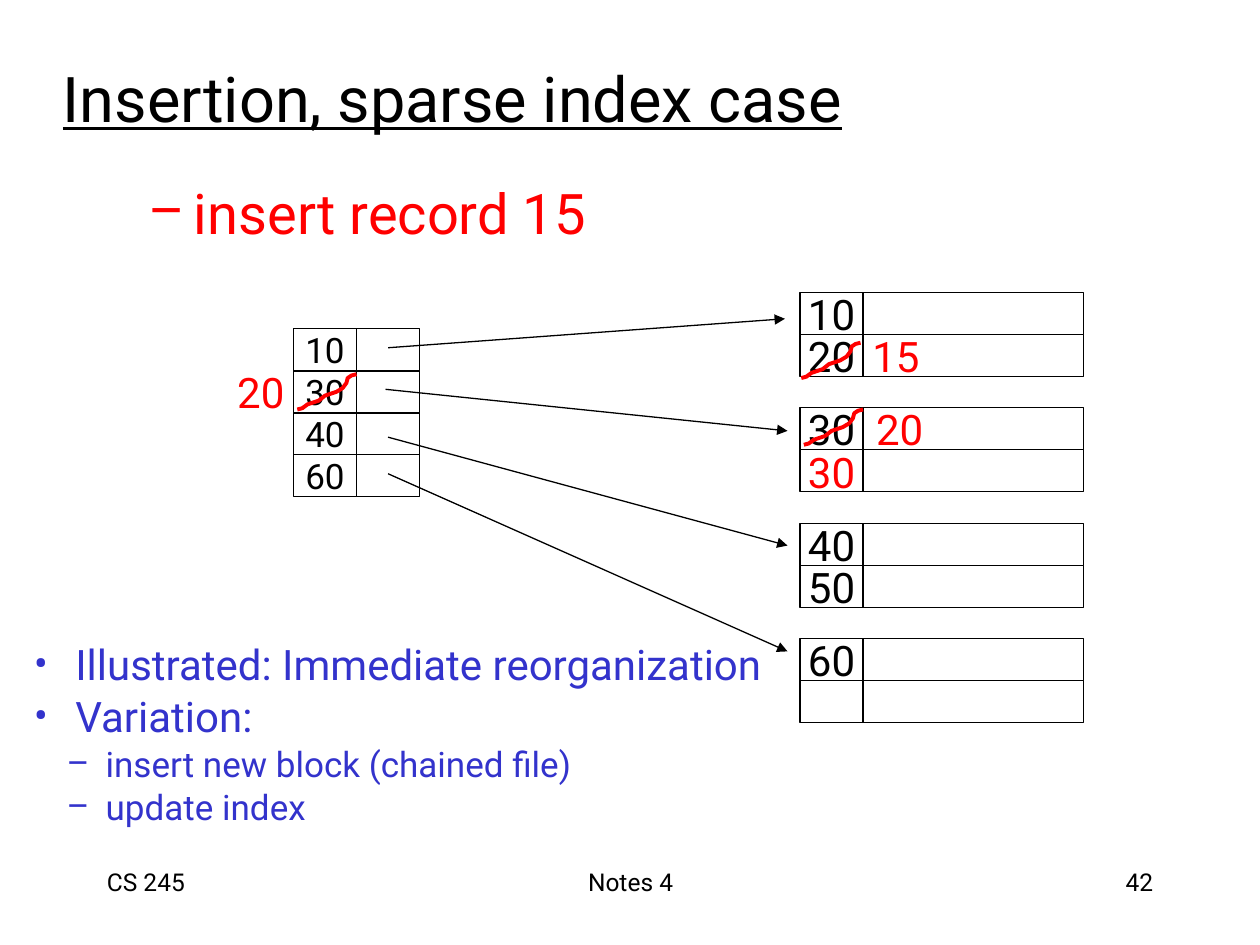
from lxml.etree import SubElement
from pptx import Presentation
from pptx.dml.color import RGBColor
from pptx.enum.shapes import MSO_CONNECTOR, MSO_SHAPE
from pptx.enum.text import MSO_ANCHOR, PP_ALIGN
from pptx.oxml.ns import qn
from pptx.util import Inches, Pt

COLUMN, ROW = 0.5, 1 / 3
BLOCK_GAP = 0.25
BLACK, WHITE, RED, BLUE = "000000", "FFFFFF", "FF0000", "3333CC"
LEFT, CENTER, RIGHT = PP_ALIGN.LEFT, PP_ALIGN.CENTER, PP_ALIGN.RIGHT

# A wavy stroke from bottom left to top right, as offsets in inches
STRIKE_STROKE = [(0, 0.28), (0.04, 0.27), (0.08, 0.24), (0.17, 0.21), (0.22, 0.17),
                 (0.31, 0.14), (0.36, 0.11), (0.39, 0.07), (0.4, 0.03), (0.43, 0.01),
                 (0.47, 0)]


def color(hex_string):
    return RGBColor.from_string(hex_string)


def add_bullet(paragraph, character, margin, hanging):
    properties = paragraph._p.get_or_add_pPr()
    properties.set("marL", str(Inches(margin)))
    properties.set("indent", str(-Inches(hanging)))
    SubElement(properties, qn("a:buFont"), typeface="Roboto")
    SubElement(properties, qn("a:buChar"), char=character)


def write(paragraph, text, size=24, ink=BLACK, align=LEFT, underline=None,
          bullet=None, level=0, spacing=None):
    paragraph.alignment = align
    paragraph.level = level
    if spacing:
        paragraph.line_spacing = spacing
    if bullet:
        add_bullet(paragraph, *bullet)
    run = paragraph.add_run()
    run.text = text
    run.font.name = "Roboto"
    run.font.size = Pt(size)
    run.font.underline = underline
    run.font.color.rgb = color(ink)


def add_text(slide, box, *lines, anchor=MSO_ANCHOR.MIDDLE, wrap=True, **style):
    """Each line is a text, or a pair of a text and its own format."""
    frame = slide.shapes.add_textbox(*map(Inches, box)).text_frame
    frame.word_wrap = wrap
    frame.vertical_anchor = anchor
    for number, line in enumerate(lines):
        text, own_style = (line, {}) if isinstance(line, str) else line
        paragraph = frame.add_paragraph() if number else frame.paragraphs[0]
        write(paragraph, text, **{**style, **own_style})


def add_cell(shapes, box, text, size):
    cell = shapes.add_shape(MSO_SHAPE.RECTANGLE, *map(Inches, box))
    cell.shadow.inherit = False
    cell.fill.solid()
    cell.fill.fore_color.rgb = color(WHITE)
    cell.line.color.rgb = color(BLACK)
    cell.line.width = Pt(0.75)
    if text:
        cell.text_frame.word_wrap = False
        cell.text_frame.vertical_anchor = MSO_ANCHOR.MIDDLE
        write(cell.text_frame.paragraphs[0], text, size=size, align=CENTER)


def add_block(slide, left, top, keys, second_width, size):
    """Stack rows of a key cell and an empty cell beside it."""
    shapes = slide.shapes.add_group_shape().shapes
    for number, key in enumerate(keys):
        y = top + number * ROW
        add_cell(shapes, (left, y, COLUMN, ROW), key, size)
        add_cell(shapes, (left + COLUMN, y, second_width, ROW), "", size)


def add_data_file(slide, left, top):
    blocks = [("10", "20"), ("30", ""), ("40", "50"), ("60", "")]
    for number, keys in enumerate(blocks):
        add_block(slide, left, top + number * (2 * ROW + BLOCK_GAP), keys, 3.5 * COLUMN, 24)


def add_arrow(slide, start, end):
    arrow = slide.shapes.add_connector(MSO_CONNECTOR.STRAIGHT, *map(Inches, start + end))
    arrow.line.color.rgb = color(BLACK)
    arrow.line.width = Pt(0.75)
    SubElement(arrow.line._get_or_add_ln(), qn("a:tailEnd"), type="triangle")
    SubElement(arrow._element.spPr, qn("a:effectLst"))


def add_pointers(slide):
    for start, end in [((3.08, 2.76), (6.23, 2.53)), ((3.06, 3.09), (6.25, 3.42)),
                       ((3.08, 3.47), (6.25, 4.33)), ((3.08, 3.76), (6.25, 5.17))]:
        add_arrow(slide, start, end)


def add_strike(slide, left, top):
    points = [(Inches(left + x), Inches(top + y)) for x, y in STRIKE_STROKE]
    builder = slide.shapes.build_freeform(*points[0])
    builder.add_line_segments(points[1:], close=False)
    stroke = builder.convert_to_shape()
    stroke.shadow.inherit = False
    stroke.fill.background()
    stroke.line.color.rgb = color(RED)
    stroke.line.width = Pt(2.25)


def add_changes(slide):
    for text, left, top in [("15", 6.82, 2.57), ("20", 6.85, 3.15),
                            ("30", 6.31, 3.49), ("20", 1.78, 2.86)]:
        add_text(slide, (left, top, 0.58, 0.5), text, ink=RED, align=CENTER, wrap=False)
    for left, top in [(6.36, 2.72), (6.38, 3.25), (2.36, 2.97)]:
        add_strike(slide, left, top)


def add_remarks(slide, box):
    main = {"bullet": ("•", 0.33, 0.33)}
    detail = {"bullet": ("–", 0.57, 0.31), "level": 1, "size": 20}
    add_text(slide, box,
             ("Illustrated: Immediate reorganization", main),
             ("Variation:", main),
             ("insert new block (chained file)", detail),
             ("update index", detail),
             ink=BLUE, spacing=1.03)


def add_footer(slide, top, height):
    for text, left, width, align in [("CS 245", 0.75, 2.08, LEFT),
                                     ("Notes 4", 3.42, 3.17, CENTER),
                                     ("42", 7.17, 2.08, RIGHT)]:
        add_text(slide, (left, top, width, height), text, size=14, align=align,
                 anchor=MSO_ANCHOR.TOP)


def main():
    presentation = Presentation()
    presentation.slide_width, presentation.slide_height = Inches(10), Inches(7.5)
    slide = presentation.slides.add_slide(presentation.slide_layouts[6])
    add_footer(slide, 6.83, 0.5)
    add_text(slide, (0.4, 0.31, 8.5, 0.92), "Insertion, sparse index case",
             size=36, underline=True)
    add_data_file(slide, 6.35, 2.32)
    add_block(slide, 2.33, 2.61, ("10", "30", "40", "60"), COLUMN, 20)
    add_pointers(slide)
    add_text(slide, (0.6, 1.36, 4.35, 0.64), "insert record 15", size=32, ink=RED,
             level=1, bullet=("–", 0.84, 0.36))
    add_changes(slide)
    add_remarks(slide, (0.17, 5.03, 6.3, 1.57))
    presentation.save("out.pptx")


if __name__ == "__main__":
    main()
